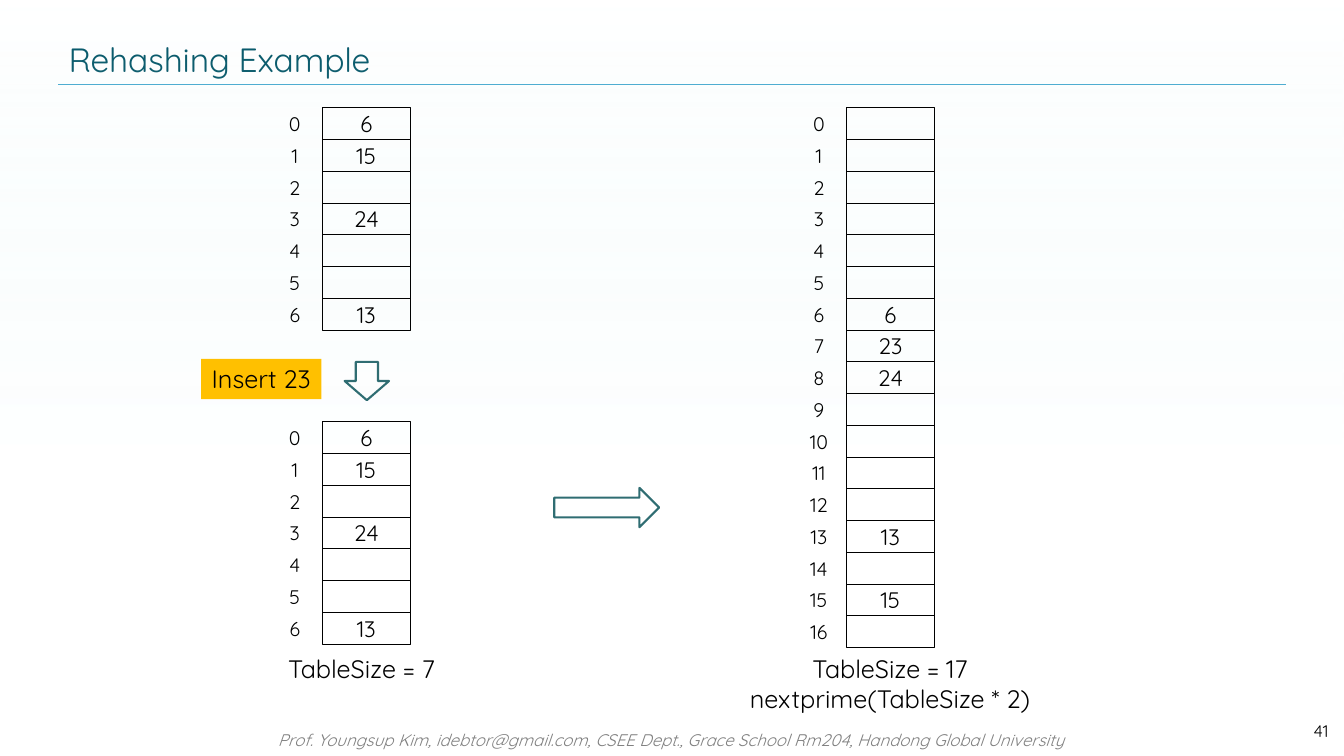
from dataclasses import dataclass

from lxml.etree import SubElement as Sub
from pptx import Presentation
from pptx.dml.color import RGBColor as Rgb
from pptx.enum.shapes import MSO_CONNECTOR as Link, MSO_SHAPE as Kind
from pptx.enum.text import (MSO_ANCHOR as Anchor, MSO_AUTO_SIZE as Fit,
                            PP_ALIGN as Align)
from pptx.oxml.ns import qn
from pptx.util import Pt


@dataclass(frozen=True)
class Theme:
    font: str = "Quicksand"
    ink: str = "000000"
    title: str = "005466"
    rule: str = "4FADD1"
    arrow: str = "2F6D72"
    tag: str = "FFC000"
    foot: str = "808080"
    tint: str = "D9F3F4"
    fade: str = "FFFFFF"
    head: int = 24
    body: int = 18
    cell: int = 16
    note: int = 14
    small: int = 12


LOOK = Theme()
UNIT = 4572  # one px, 200 to the inch
WIDE, HIGH = 2667, 1500
ROW, CELL, GAP = 63, 174, 110


def px(*nums):
    return [n * UNIT for n in nums]


def write(shape, text, size=LOOK.body, color=LOOK.ink, align=Align.CENTER,
          anchor=Anchor.TOP, inset=None, wrap=True, italic=False, space=None):
    frame = shape.text_frame
    frame.auto_size = Fit.NONE
    frame.word_wrap = wrap
    frame.vertical_anchor = anchor
    if inset is not None:
        frame.margin_left = frame.margin_right = inset * UNIT
        frame.margin_top = frame.margin_bottom = inset * UNIT
    for i, line in enumerate(text.split("\n")):
        para = frame.add_paragraph() if i else frame.paragraphs[0]
        para.alignment = align
        run = para.add_run()
        run.text = line
        font = run.font
        font.name, font.size, font.italic = LOOK.font, Pt(size), italic
        font.color.rgb = Rgb.from_string(color)
        if space is not None:
            font._element.set("spc", str(space))


def label(slide, box, text, **form):
    write(slide.shapes.add_textbox(*px(*box)), text, **form)


def block(slide, box, kind=Kind.RECTANGLE, fill=None, line=None, width=0.75):
    shape = slide.shapes.add_shape(kind, *px(*box))
    shape.shadow.inherit = False
    if fill:
        shape.fill.solid()
        shape.fill.fore_color.rgb = Rgb.from_string(fill)
    else:
        shape.fill.background()
    if line:
        shape.line.color.rgb = Rgb.from_string(line)
        shape.line.width = Pt(width)
    else:
        shape.line.fill.background()
    return shape


def wash(slide, box):
    fill = block(slide, box).fill
    fill.gradient()
    fill.gradient_angle = 270
    looks = ((LOOK.tint, 0, 0), (LOOK.fade, 0.61, 40))
    for stop, (color, place, alpha) in zip(fill.gradient_stops, looks):
        stop.color.rgb = Rgb.from_string(color)
        stop.position = place
    for tone, (_, _, alpha) in zip(fill._xPr.iter(qn("a:srgbClr")), looks):
        Sub(tone, qn("a:alpha")).set("val", str(alpha * 1000))


def header(slide, box):
    x, y, w, h = box
    rule = slide.shapes.add_connector(Link.STRAIGHT,
                                      *px(x, y + h, x + w, y + h))
    rule.line.color.rgb = Rgb.from_string(LOOK.rule)
    rule.line.width = Pt(0.25)
    Sub(rule._element.spPr, qn("a:effectLst"))
    title = slide.shapes.title
    title.left, title.top, title.width, title.height = px(*box)
    write(title, "Rehashing Example", size=LOOK.head, color=LOOK.title,
          align=Align.LEFT, anchor=Anchor.MIDDLE, space=-10)


def footer(slide, box):
    x, y, w, h = box
    label(slide, (x + 396, y + 28, 1874, 60),
          "Prof. Youngsup Kim, idebtor@gmail.com, CSEE Dept., "
          "Grace School Rm204, Handong Global University",
          size=LOOK.small, color=LOOK.foot, italic=True)
    label(slide, (x + w - 245, y, 234, 80), "41", size=LOOK.small,
          align=Align.RIGHT, anchor=Anchor.MIDDLE)


def buckets(slide, spot, count, keys):
    """Column of hash slots; keys maps a slot index to its value."""
    x, y = spot
    form = dict(anchor=Anchor.MIDDLE, inset=8)
    for i in range(count):
        top = y + i * ROW
        label(slide, (x, top, GAP, ROW), str(i), size=LOOK.note, **form)
        slot = block(slide, (x + GAP, top, CELL, ROW), line=LOOK.ink)
        if i in keys:
            write(slot, str(keys[i]), size=LOOK.cell, **form)


def before(slide, box):
    x, y = box[:2]
    keys = {0: 6, 1: 15, 3: 24, 6: 13}
    for top in (y, y + 623):
        buckets(slide, (x, top), 7, keys)
    # Insert step
    tag = block(slide, (x - 131, y + 498, 239, 80), fill=LOOK.tag)
    write(tag, "Insert 23", wrap=False)
    down = block(slide, (x + 160, y + 498, 76, 88), Kind.RIGHT_ARROW,
                 line=LOOK.arrow, width=1.5)
    down.rotation = 90
    label(slide, (x + 22, y + 1072, 350, 80), "TableSize = 7",
          align=Align.LEFT, wrap=False)


def after(slide, box):
    x, y = box[:2]
    buckets(slide, (x, y), 17, {6: 6, 7: 23, 8: 24, 13: 13, 15: 15})
    label(slide, (x - 116, y + 1072, 624, 142),
          "TableSize = 17\nnextprime(TableSize * 2)", wrap=False)


def main():
    deck = Presentation()
    deck.slide_width, deck.slide_height = px(WIDE, HIGH)
    slide = deck.slides.add_slide(deck.slide_layouts[5])
    wash(slide, (0, 0, WIDE, HIGH))
    header(slide, (116, 68, 2436, 100))
    footer(slide, (0, 1410, WIDE, 90))
    before(slide, (530, 214, GAP + CELL, 1152))
    # Rehash step
    block(slide, (1100, 968, 208, 78), Kind.RIGHT_ARROW,
          line=LOOK.arrow, width=1.5)
    after(slide, (1570, 214, GAP + CELL, 1214))
    deck.save("out.pptx")


if __name__ == "__main__":
    main()
